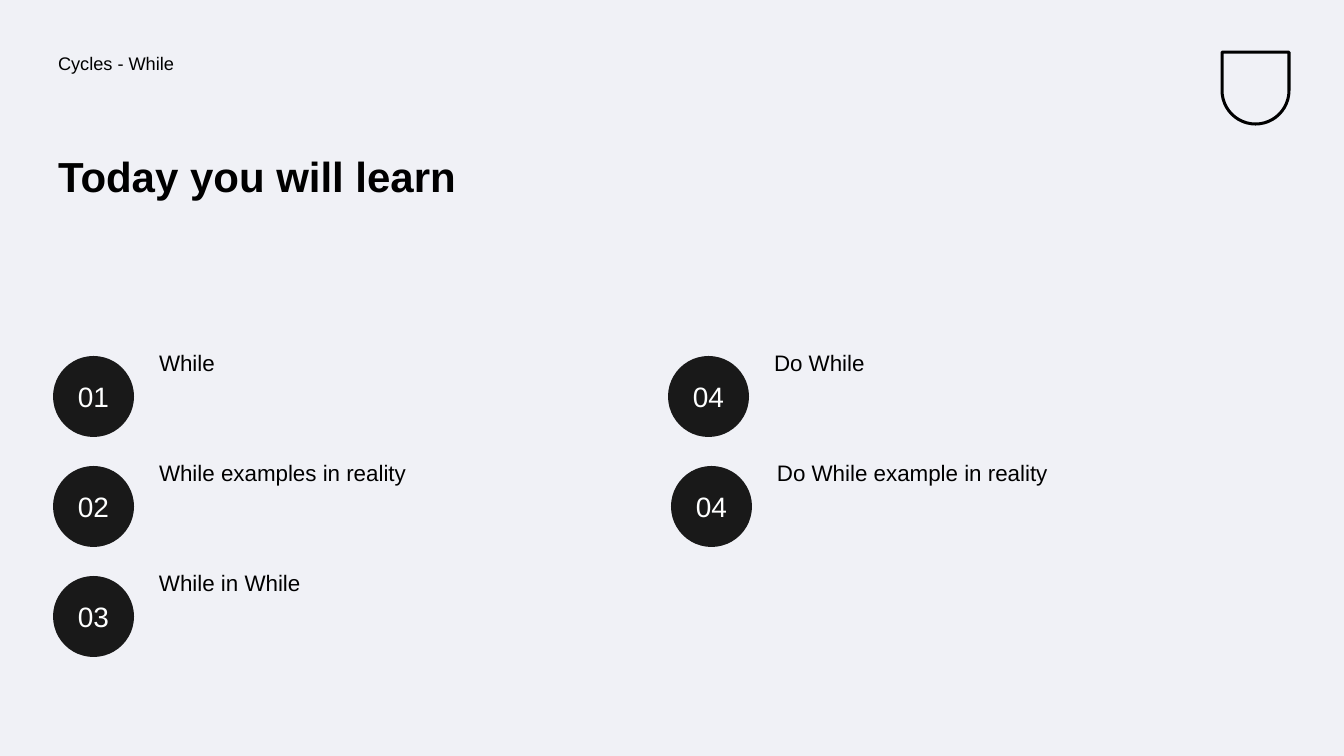
from dataclasses import dataclass
from typing import Optional

from lxml.etree import SubElement
from pptx import Presentation
from pptx.dml.color import RGBColor
from pptx.enum.shapes import MSO_SHAPE
from pptx.enum.text import MSO_ANCHOR, MSO_AUTO_SIZE, PP_ALIGN
from pptx.oxml.ns import qn
from pptx.util import Emu, Pt

CIRCLE = MSO_SHAPE.OVAL
SHIELD = MSO_SHAPE.ROUND_2_SAME_RECTANGLE
TOP, MIDDLE = MSO_ANCHOR.TOP, MSO_ANCHOR.MIDDLE
NO_AUTOFIT = MSO_AUTO_SIZE.NONE
LEFT, CENTER = PP_ALIGN.LEFT, PP_ALIGN.CENTER

EMU_PER_PIXEL = 12192000 / 1344
FONT = "Arial"
BACKGROUND, BLACK, CHARCOAL, WHITE = "F0F1F6", "000000", "191919", "FEFFFF"
COMPARISON_LAYOUT = 4

FIRST_ROW, ROW_STEP = 347, 110
LEFT_COLUMN, RIGHT_COLUMN, SHIFTED_COLUMN = 53, 668, 671
CIRCLE_SIZE, CIRCLE_DROP = 81, 9
LABEL_OFFSET, LABEL_WIDTH, LABEL_HEIGHT = 101, 467, 100
INSET = 5


@dataclass
class Topic:
    number: str
    label: str
    column: int
    row: int
    placeholder: Optional[int] = None


TOPICS = [
    Topic("01", "While", LEFT_COLUMN, 0, 2),
    Topic("02", "While examples in reality", LEFT_COLUMN, 1, 3),
    Topic("03", "While in While", LEFT_COLUMN, 2),
    Topic("04", "Do While", RIGHT_COLUMN, 0, 4),
    Topic("04", "Do While example in reality", SHIFTED_COLUMN, 1),
]


def px(pixels: int) -> Emu:
    return Emu(round(pixels * EMU_PER_PIXEL))


def color(code: str) -> RGBColor:
    return RGBColor.from_string(code)


def place(shape, left: int, top: int, width: int, height: int) -> None:
    shape.left, shape.top = px(left), px(top)
    shape.width, shape.height = px(width), px(height)


def write(shape, text: str, size: int, ink: str = BLACK, bold: bool = False,
          align=LEFT, anchor=TOP, inset: int = INSET,
          line_spacing: float = 0.9, space_before: int = 10) -> None:
    frame = shape.text_frame
    frame.text = text
    frame.word_wrap = True
    frame.auto_size = NO_AUTOFIT
    frame.vertical_anchor = anchor
    frame.margin_left = frame.margin_right = px(inset)
    frame.margin_top = frame.margin_bottom = px(inset)
    paragraph = frame.paragraphs[0]
    paragraph.alignment = align
    paragraph.line_spacing = line_spacing
    paragraph.space_before = Pt(space_before)
    properties = paragraph._p.get_or_add_pPr()
    properties.set("marL", "0")
    properties.set("indent", "0")
    SubElement(properties, qn("a:buNone"))
    font = paragraph.runs[0].font
    font.name, font.size, font.bold = FONT, Pt(size), bold
    font.color.rgb = color(ink)


def draw_topic(slide, topic: Topic) -> None:
    top = FIRST_ROW + topic.row * ROW_STEP
    if topic.placeholder is None:
        label = slide.shapes.add_textbox(0, 0, 0, 0)
    else:
        label = slide.placeholders[topic.placeholder]
    place(label, topic.column + LABEL_OFFSET, top, LABEL_WIDTH, LABEL_HEIGHT)
    write(label, topic.label, 16)

    badge = slide.shapes.add_shape(CIRCLE, px(topic.column), px(top + CIRCLE_DROP),
                                   px(CIRCLE_SIZE), px(CIRCLE_SIZE))
    badge.shadow.inherit = False
    badge.fill.solid()
    badge.fill.fore_color.rgb = color(CHARCOAL)
    badge.line.fill.background()
    write(badge, topic.number, 20, WHITE, align=CENTER, anchor=MIDDLE,
          inset=0, line_spacing=1.0, space_before=0)


def draw_emblem(slide) -> None:
    emblem = slide.shapes.add_shape(SHIELD, px(1222), px(52), px(67), px(72))
    emblem.adjustments[0] = 0.5
    emblem.rotation = 180
    emblem.shadow.inherit = False
    emblem.fill.background()
    emblem.line.color.rgb = color(BLACK)
    emblem.line.width = px(3)


presentation = Presentation()
presentation.slide_width, presentation.slide_height = px(1344), px(756)
slide = presentation.slides.add_slide(presentation.slide_layouts[COMPARISON_LAYOUT])
slide.background.fill.solid()
slide.background.fill.fore_color.rgb = color(BACKGROUND)

draw_emblem(slide)

lesson = slide.placeholders[1]
place(lesson, 53, 50, 619, 50)
write(lesson, "Cycles - While", 13)

heading = slide.shapes.title
place(heading, 53, 151, 569, 150)
write(heading, "Today you will learn", 30, bold=True, space_before=0)

for topic in TOPICS:
    draw_topic(slide, topic)

presentation.save("out.pptx")
